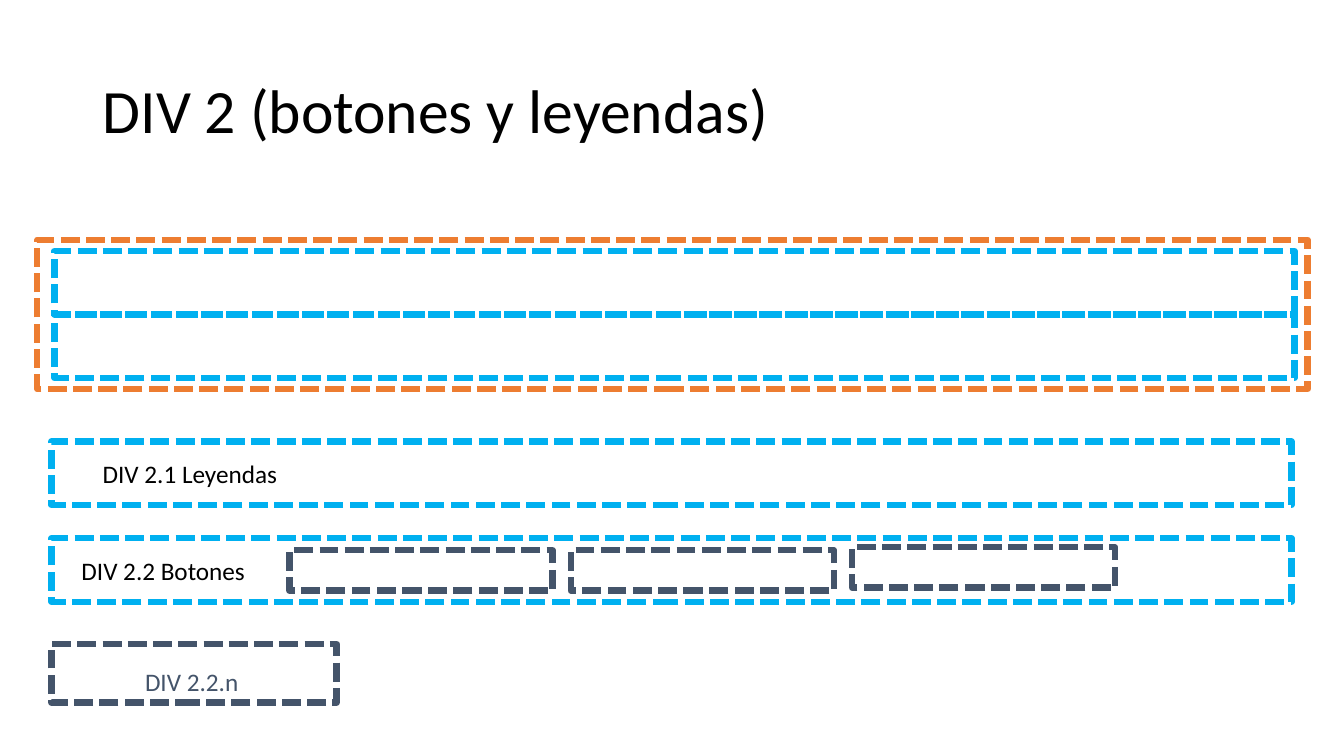
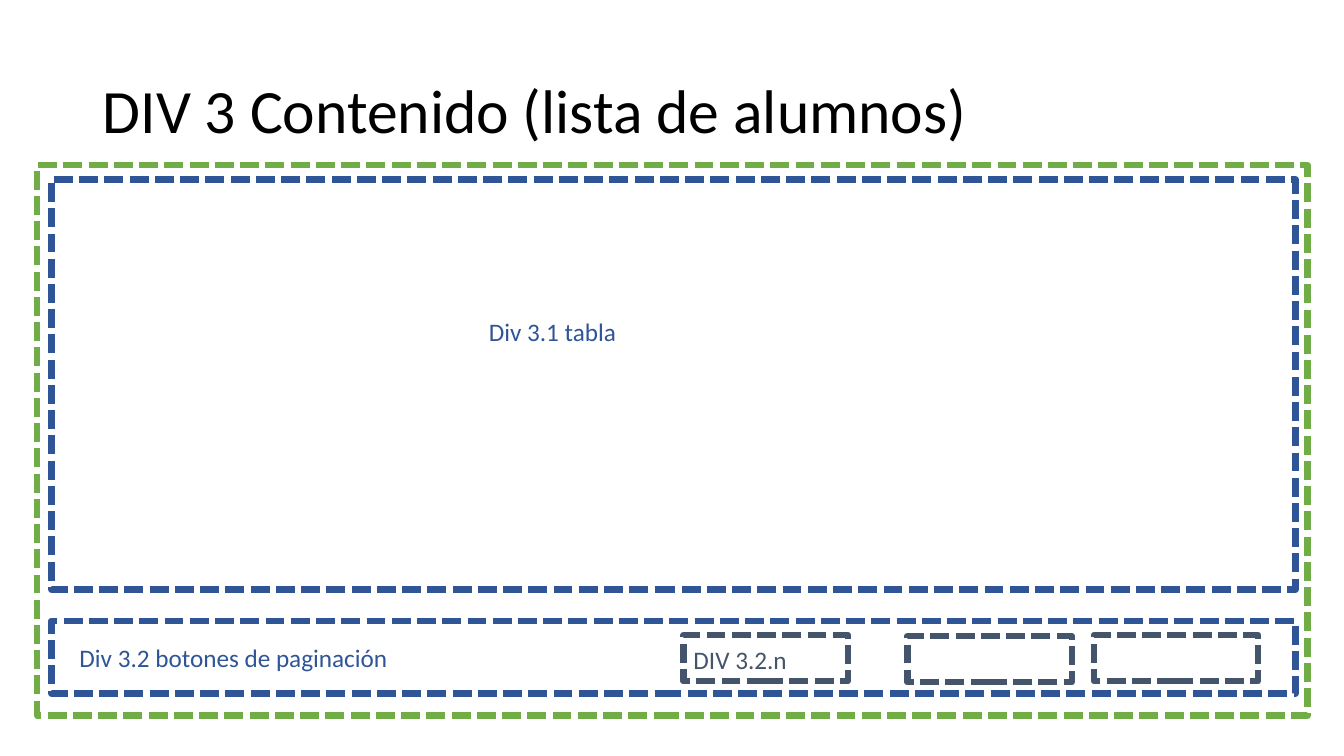
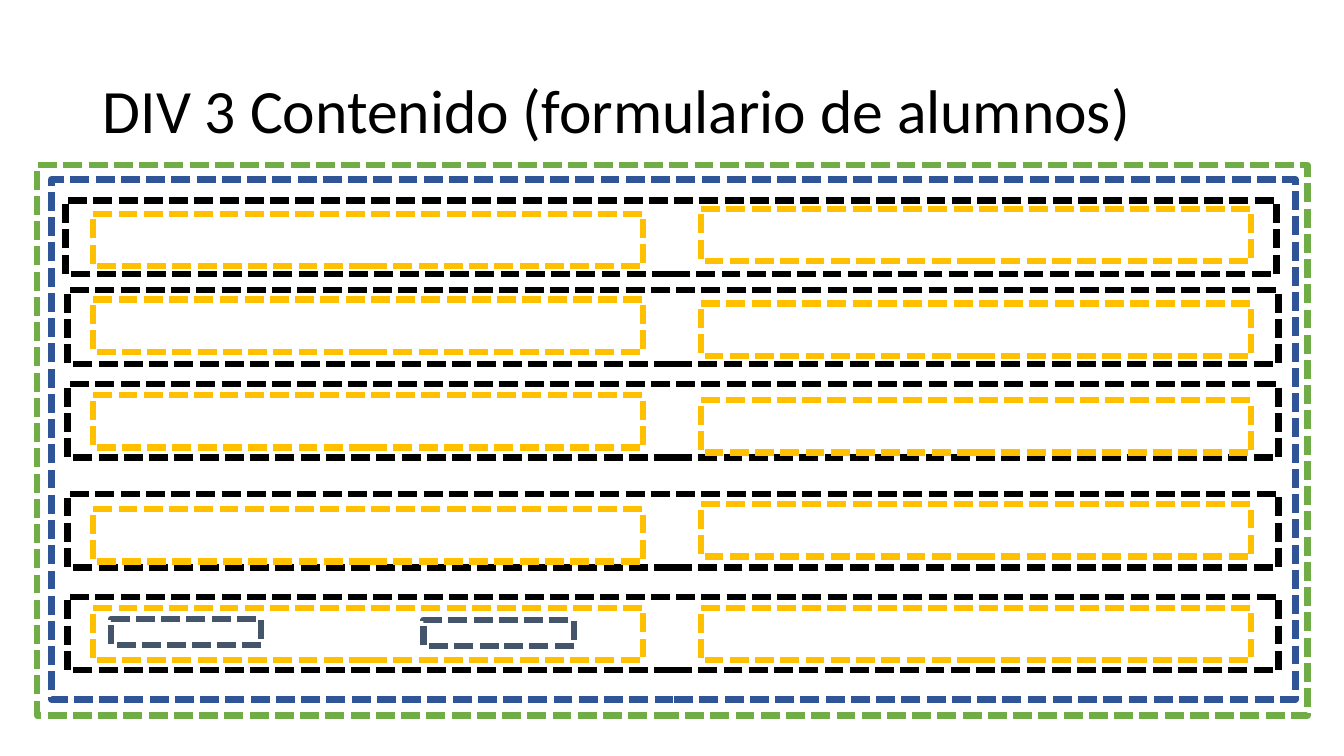
from pptx import Presentation
from pptx.dml.color import RGBColor
from pptx.enum.dml import MSO_LINE_DASH_STYLE as Dash
from pptx.enum.shapes import MSO_SHAPE as Shape
from pptx.enum.text import MSO_ANCHOR as Anchor, MSO_AUTO_SIZE as AutoSize
from pptx.util import Inches, Pt

FONT = "Calibri"
BLACK = "000000"
ORANGE = "ED7D31"
SKY = "00B0F0"
GREEN = "70AD47"
BLUE = "2F5597"
SLATE = "44546A"
YELLOW = "FFC000"

CONTENT_LEFT, CONTENT_TOP = 0.51, 1.78
CONTENT_WIDTH = 12.34
BAND_WIDTH, BAND_HEIGHT = 12.3, 0.63
FIELD_LEFTS = (0.92, 6.95)
FORM_ROWS = (
    (0.65, 1.99, (2.12, 2.07)),
    (0.67, 2.88, (2.97, 3.01)),
    (0.67, 3.81, (3.92, 3.97)),
    (0.67, 4.9, (5.05, 5)),
    (0.67, 5.92, (6.03, 6.03)),
)


def rgb(code):
    """Turn a hex string into a colour."""
    return RGBColor.from_string(code)


def add_text(slide, text, left, top, width, height=0.4, *, size=18,
             color=BLACK, wrap=False, anchor=Anchor.TOP, spacing=1.0,
             fit=AutoSize.SHAPE_TO_FIT_TEXT):
    """Place one line of text in the given format."""
    box = slide.shapes.add_textbox(
        Inches(left), Inches(top), Inches(width), Inches(height))
    frame = box.text_frame
    frame.word_wrap = wrap
    frame.auto_size = fit
    frame.vertical_anchor = anchor
    paragraph = frame.paragraphs[0]
    paragraph.line_spacing = spacing
    run = paragraph.add_run()
    run.text = text
    run.font.name = FONT
    run.font.size = Pt(size)
    run.font.color.rgb = rgb(color)


def add_div(slide, color, left, top, width, height):
    """Draw the dashed outline of one page division."""
    div = slide.shapes.add_shape(
        Shape.RECTANGLE, Inches(left), Inches(top), Inches(width), Inches(height))
    div.shadow.inherit = False
    div.fill.background()
    div.line.color.rgb = rgb(color)
    div.line.width = Pt(4.5)
    div.line.dash_style = Dash.SQUARE_DOT


def add_titled_slide(deck, title):
    """Add a blank slide that carries the shared title style."""
    slide = deck.slides.add_slide(deck.slide_layouts[6])
    add_text(slide, title, 0.92, 0.4, 11.5, 1.45, size=44, wrap=True,
             anchor=Anchor.MIDDLE, spacing=0.9, fit=AutoSize.NONE)
    return slide


def add_content_frame(slide, inner_height):
    """Draw the green division 3 and the blue division inside it."""
    add_div(slide, GREEN, 0.37, 1.64, 12.6, 5.46)
    add_div(slide, BLUE, CONTENT_LEFT, CONTENT_TOP, CONTENT_WIDTH, inner_height)


def build_buttons_slide(deck):
    """Show division 2 with its legends and buttons."""
    slide = add_titled_slide(deck, "DIV 2 (botones y leyendas)")
    for left, top in ((0.54, 2.49), (0.54, 3.12), (0.51, 5.34), (0.51, 4.38)):
        add_div(slide, SKY, left, top, BAND_WIDTH, BAND_HEIGHT)
    add_div(slide, ORANGE, 0.37, 2.38, 12.6, 1.48)
    add_text(slide, "DIV 2.1 Leyendas", 0.92, 4.5, 1.95)
    add_text(slide, "DIV 2.2 Botones", 0.71, 5.46, 1.84)
    add_div(slide, SLATE, 0.51, 6.39, 2.83, 0.58)
    add_text(slide, "DIV 2.2.n", 1.34, 6.56, 1.14, color=SLATE)
    for column, top in enumerate((5.46, 5.46, 5.43)):
        add_div(slide, SLATE, 2.87 + column * 2.79, top, 2.61, 0.4)


def build_list_slide(deck):
    """Show division 3 as a student table with paging buttons."""
    slide = add_titled_slide(deck, "DIV 3 Contenido (lista de alumnos)")
    add_content_frame(slide, 4.07)
    add_div(slide, BLUE, CONTENT_LEFT, 6.16, CONTENT_WIDTH, 0.72)
    add_text(slide, "Div 3.1 tabla", 4.75, 3.09, 1.48, color=BLUE)
    add_text(slide, "Div 3.2 botones de paginación", 0.69, 6.32, 3.3, color=BLUE)
    for left, top in ((6.78, 6.3), (9, 6.31), (10.85, 6.3)):
        add_div(slide, SLATE, left, top, 1.63, 0.46)
    add_text(slide, "DIV 3.2.n", 6.78, 6.34, 1.14, color=SLATE)


def build_form_slide(deck):
    """Show division 3 as a student form of two-field rows."""
    slide = add_titled_slide(deck, "DIV 3 Contenido (formulario de alumnos)")
    add_content_frame(slide, 5.16)
    for row_left, row_top, field_tops in FORM_ROWS:
        add_div(slide, BLACK, row_left, row_top, 12.01, 0.73)
        for field_left, field_top in zip(FIELD_LEFTS, field_tops):
            add_div(slide, YELLOW, field_left, field_top, 5.46, 0.52)
    for left, top in ((1.1, 6.14), (4.2, 6.15)):
        add_div(slide, SLATE, left, top, 1.49, 0.26)


def main():
    """Build the deck and save it."""
    deck = Presentation()
    deck.slide_width = Inches(13.33)
    deck.slide_height = Inches(7.5)
    build_buttons_slide(deck)
    build_list_slide(deck)
    build_form_slide(deck)
    deck.save("out.pptx")


if __name__ == "__main__":
    main()
